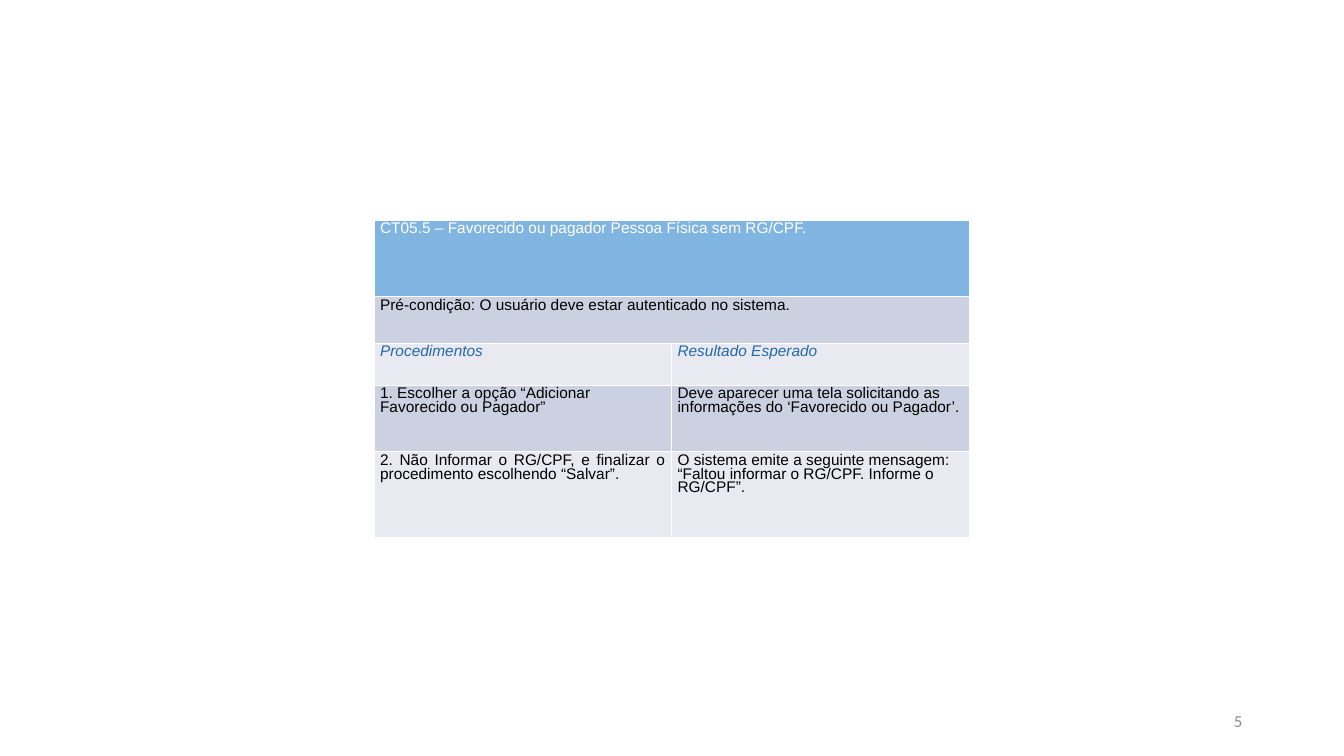
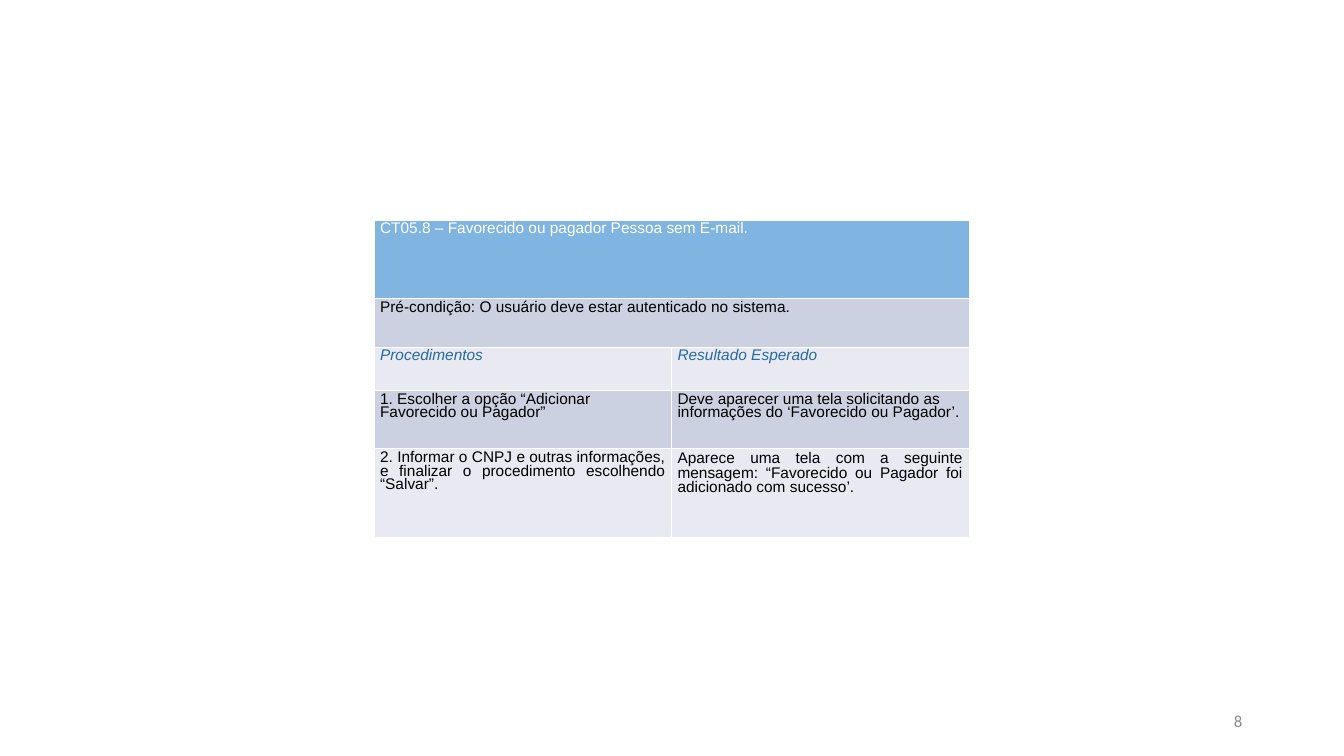
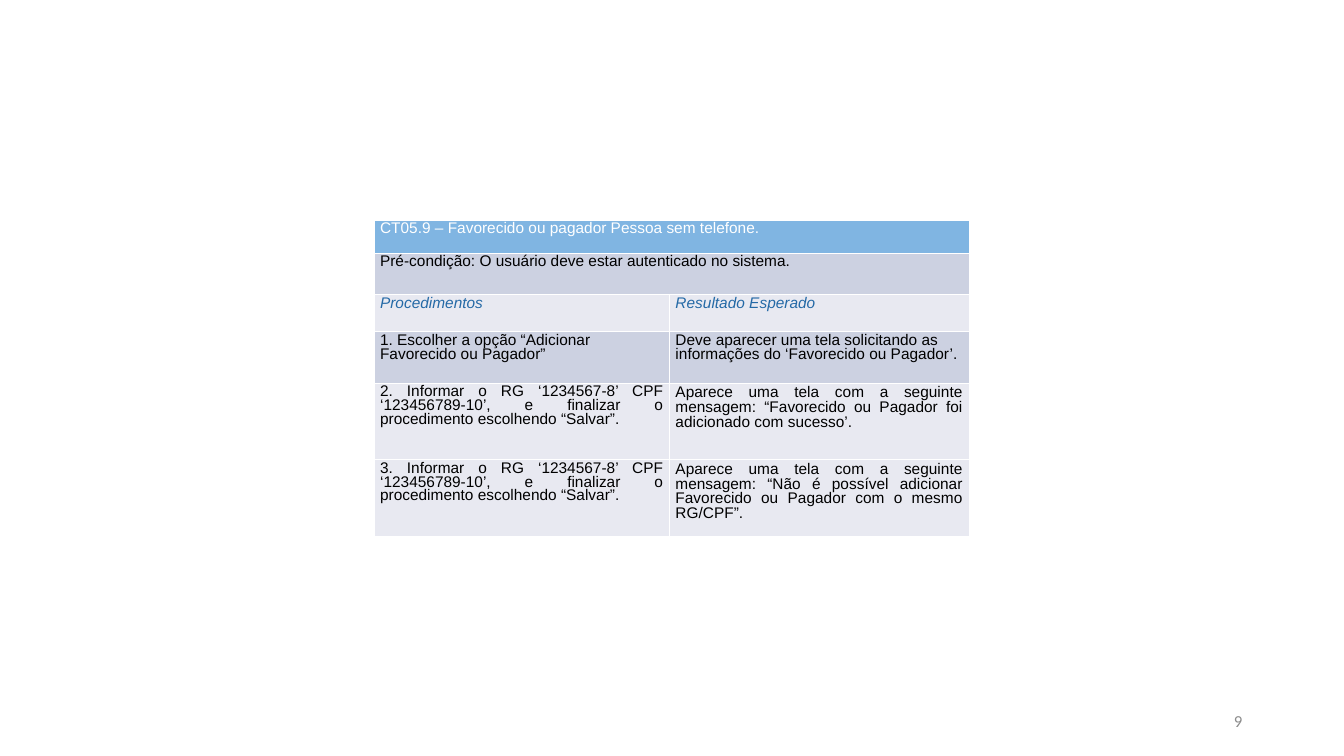
from pptx import Presentation
from pptx.dml.color import RGBColor
from pptx.enum.text import MSO_ANCHOR, PP_ALIGN
from pptx.oxml import parse_xml
from pptx.oxml.ns import nsdecls
from pptx.util import Inches, Pt

# Shared colours
WHITE = RGBColor(0xFF, 0xFF, 0xFF)
BLACK = RGBColor(0x00, 0x00, 0x00)
GREY = RGBColor(0x8C, 0x8C, 0x8C)
HEADER_BLUE = RGBColor(0x80, 0xB5, 0xE2)
LABEL_BLUE = RGBColor(0x24, 0x69, 0xA6)
BAND_DARK = RGBColor(0xCC, 0xD1, 0xE1)
BAND_LIGHT = RGBColor(0xE8, 0xE9, 0xF1)

# Shared wording and text formats
PRECONDITION = "Pré-condição: O usuário deve estar autenticado no sistema."
COLUMN_LABELS = ("Procedimentos", "Resultado Esperado")
OPEN_STEP = (
    "1. Escolher a opção “Adicionar Favorecido ou Pagador”",
    "Deve aparecer uma tela solicitando as informações do ‘Favorecido ou Pagador’.",
)
ADDED = ("Aparece uma tela com a seguinte mensagem: "
         "“Favorecido ou Pagador foi adicionado com sucesso’.")
PERSON_STEP = ("Informar o RG ‘1234567-8’ CPF ‘123456789-10’, e finalizar "
               "o procedimento escolhendo “Salvar”.")
JUSTIFIED = {"align": PP_ALIGN.JUSTIFY}
LOOSE = {"align": PP_ALIGN.JUSTIFY, "line_spacing": 0.86}

TEST_CASES = [
    {
        "page": 5,
        "title": "CT05.5 – Favorecido ou pagador Pessoa Física sem RG/CPF.",
        "columns": (2.95, 2.95),
        "rows": (0.76, 0.46, 0.42, 0.66, 0.85),
        "steps": [(
            "2. Não Informar o RG/CPF, e finalizar o procedimento escolhendo “Salvar”.",
            "O sistema emite a seguinte mensagem: “Faltou informar o RG/CPF. "
            "Informe o RG/CPF”.",
        )],
        "result_format": {},
    },
    {
        "page": 8,
        "title": "CT05.8 – Favorecido ou pagador Pessoa sem E-mail.",
        "columns": (2.95, 2.95),
        "rows": (0.78, 0.48, 0.43, 0.58, 0.88),
        "steps": [(
            "2. Informar o CNPJ e outras informações, e finalizar o procedimento "
            "escolhendo “Salvar”.",
            ADDED,
        )],
        "result_format": LOOSE,
    },
    {
        "page": 9,
        "title": "CT05.9 – Favorecido ou pagador Pessoa sem telefone.",
        "columns": (2.93, 2.97),
        "rows": (0.33, 0.41, 0.37, 0.51, 0.76, 0.76),
        "steps": [
            ("2. " + PERSON_STEP, ADDED),
            ("3. " + PERSON_STEP,
             "Aparece uma tela com a seguinte mensagem: “Não é possível adicionar "
             "Favorecido ou Pagador com o mesmo RG/CPF”."),
        ],
        "result_format": LOOSE,
    },
]


def write_text(text_frame, text, *, size=11, font="Arial", color=BLACK,
               italic=False, align=PP_ALIGN.LEFT, line_spacing=0.8):
    paragraph = text_frame.paragraphs[0]
    paragraph.alignment = align
    paragraph.line_spacing = line_spacing
    run = paragraph.add_run()
    run.text = text
    run.font.size = Pt(size)
    run.font.name = font
    run.font.color.rgb = color
    run.font.italic = italic


def add_page_number(slide, number):
    box = slide.shapes.add_textbox(Inches(9.42), Inches(6.95), Inches(3), Inches(0.4))
    box.text_frame.word_wrap = True
    box.text_frame.vertical_anchor = MSO_ANCHOR.MIDDLE
    write_text(box.text_frame, str(number), size=12, font="Calibri", color=GREY,
               align=PP_ALIGN.RIGHT, line_spacing=1.0)


def style_cell(cell, fill):
    cell.margin_left = cell.margin_right = Inches(0.06)
    cell.margin_top = cell.margin_bottom = Inches(0.03)
    cell.vertical_anchor = MSO_ANCHOR.TOP
    # Hairline borders come before the fill in the cell properties
    properties = cell._tc.get_or_add_tcPr()
    for side in ("lnL", "lnR", "lnT", "lnB"):
        properties.append(parse_xml(
            f'<a:{side} {nsdecls("a")} w="{Pt(0.06)}"><a:solidFill>'
            f'<a:srgbClr val="{WHITE}"/></a:solidFill></a:{side}>'))
    cell.fill.solid()
    cell.fill.fore_color.rgb = fill


def add_test_table(slide, case):
    columns, rows = case["columns"], case["rows"]
    table = slide.shapes.add_table(
        len(rows), len(columns), Inches(3.71), Inches(2.18),
        Inches(sum(columns)), Inches(sum(rows))).table
    table.first_row = table.horz_banding = False
    for column, width in zip(table.columns, columns):
        column.width = Inches(width)
    for row, height in zip(table.rows, rows):
        row.height = Inches(height)

    # Bands
    fills = [HEADER_BLUE, BAND_DARK, BAND_LIGHT, BAND_DARK]
    fills += [BAND_LIGHT] * len(case["steps"])
    for row, fill in zip(table.rows, fills):
        for cell in row.cells:
            style_cell(cell, fill)

    # Title and precondition span both columns
    for index, (text, color) in enumerate([(case["title"], WHITE), (PRECONDITION, BLACK)]):
        table.cell(index, 0).merge(table.cell(index, 1))
        write_text(table.cell(index, 0).text_frame, text, color=color)

    # Column labels, then steps with their expected results
    label_format = {"color": LABEL_BLUE, "italic": True}
    content = [(COLUMN_LABELS, (label_format, label_format)), (OPEN_STEP, ({}, {}))]
    content += [(step, (JUSTIFIED, case["result_format"])) for step in case["steps"]]
    for row_index, (texts, formats) in enumerate(content, start=2):
        for column_index, (text, text_format) in enumerate(zip(texts, formats)):
            write_text(table.cell(row_index, column_index).text_frame, text, **text_format)


def main():
    presentation = Presentation()
    presentation.slide_width = Inches(13.33)
    presentation.slide_height = Inches(7.5)
    for case in TEST_CASES:
        slide = presentation.slides.add_slide(presentation.slide_layouts[6])
        add_page_number(slide, case["page"])
        add_test_table(slide, case)
    presentation.save("out.pptx")


main()
